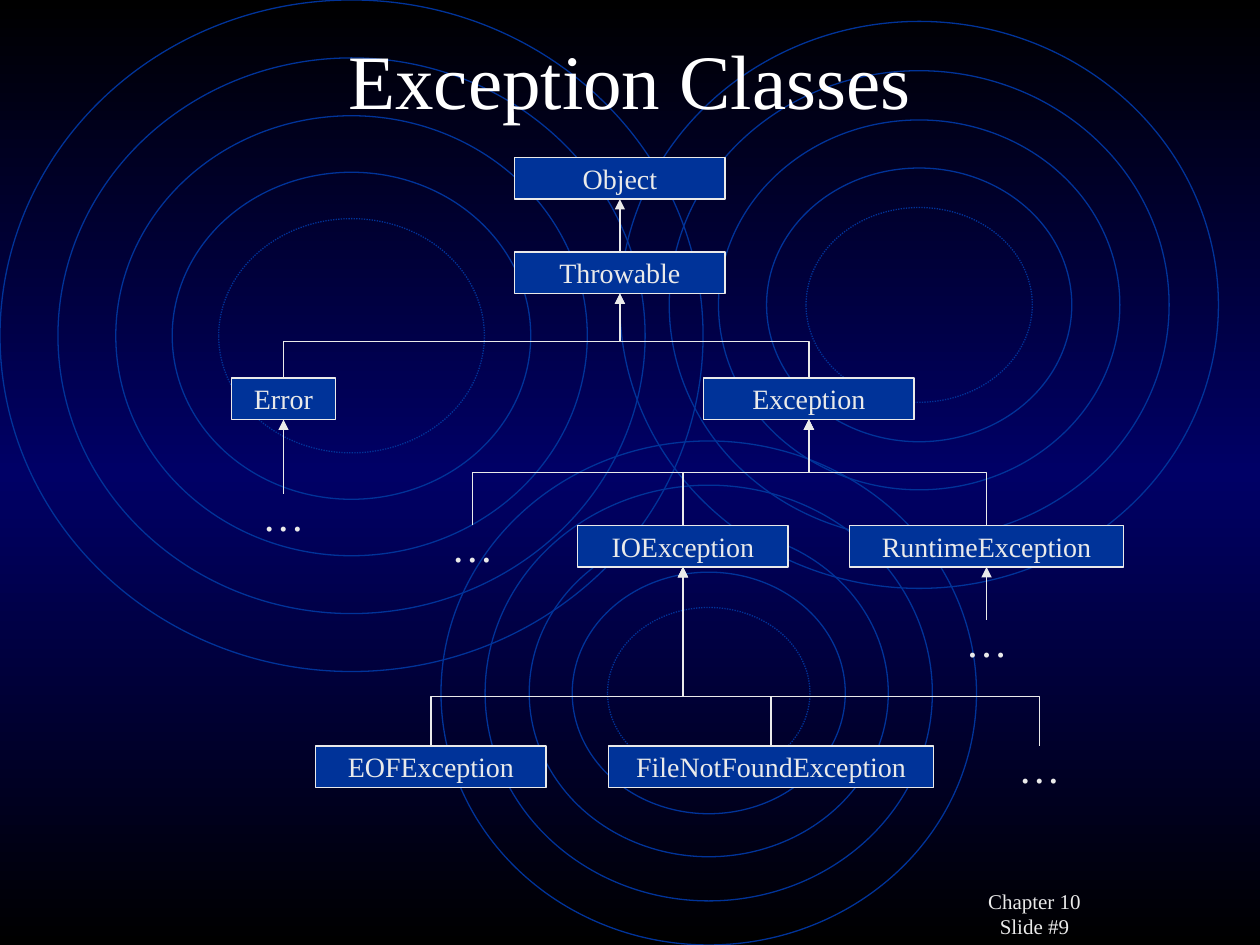
from dataclasses import dataclass

from lxml import etree
from pptx import Presentation
from pptx.dml.color import RGBColor
from pptx.enum.dml import MSO_LINE
from pptx.enum.shapes import MSO_CONNECTOR, MSO_SHAPE
from pptx.enum.text import MSO_ANCHOR, PP_ALIGN
from pptx.oxml import parse_xml
from pptx.oxml.ns import nsdecls, qn
from pptx.util import Inches, Pt

OVAL, RECT = MSO_SHAPE.OVAL, MSO_SHAPE.RECTANGLE
STRAIGHT, ELBOW = MSO_CONNECTOR.STRAIGHT, MSO_CONNECTOR.ELBOW
DOTTED = MSO_LINE.ROUND_DOT
CENTER = PP_ALIGN.CENTER
TOP, MIDDLE = MSO_ANCHOR.TOP, MSO_ANCHOR.MIDDLE


@dataclass(frozen=True)
class Theme:
    font: str = "Times New Roman"
    edge: str = "000000"
    glow: str = "000066"
    blue: str = "003399"
    light: str = "EAEAEA"
    white: str = "FFFFFF"
    title: int = 44
    dots: int = 24
    node: int = 16
    footer: int = 12
    line: float = 0.75


THEME = Theme()

# Ring insets as a share of the outermost ring's width
RING_INSETS = (0, 0.0824, 0.1647, 0.245, 0.311)
RING_BOXES = ((0, 0, 5.58, 5.33), (3.5, 3.5, 4.25, 4), (4.92, 0.17, 4.75, 4.5))

# Class tree: key -> (label, centre x, top, width), relative to the tree box
NODE_H = 0.33
NODES = {
    "object": ("Object", 3.09, 0, 1.67),
    "throwable": ("Throwable", 3.09, 0.75, 1.67),
    "exception": ("Exception", 4.59, 1.75, 1.67),
    "error": ("Error", 0.42, 1.75, 0.83),
    "runtime": ("RuntimeException", 6, 2.92, 2.17),
    "io": ("IOException", 3.59, 2.92, 1.67),
    "file": ("FileNotFoundException", 4.29, 4.67, 2.58),
    "eof": ("EOFException", 1.59, 4.67, 1.83),
    "more errors": ("…", 0.42, 2.67, 0.67),
    "more runtime": ("…", 6, 3.67, 0.67),
    "more io": ("…", 6.42, 4.67, 0.67),
    "more exceptions": ("…", 1.92, 2.92, 0.67),
}

# Parent -> (height of the shared bar above the children, children)
LINKS = {
    "object": (0, ("throwable",)),
    "throwable": (0.29, ("error", "exception")),
    "error": (0, ("more errors",)),
    "runtime": (0, ("more runtime",)),
    "io": (0.39, ("more io", "file", "eof")),
    "exception": (0.42, ("more exceptions", "io", "runtime")),
}


def rgb(color):
    return RGBColor.from_string(color)


def inches(*values):
    return [Inches(v) for v in values]


def write(sp, text, size, color, anchor=MIDDLE, wrap=True):
    tf = sp.text_frame
    tf.text = text
    tf.word_wrap = wrap
    tf.vertical_anchor = anchor
    for p in tf.paragraphs:
        p.alignment = CENTER
        for r in p.runs:
            r.font.name = THEME.font
            r.font.size = Pt(size)
            r.font.color.rgb = rgb(color)


def add_label(slide, box, text, size, color, anchor=MIDDLE, wrap=True):
    sp = slide.shapes.add_textbox(*inches(*box))
    write(sp, text, size, color, anchor, wrap)


def set_background(slide):
    stops = ((0, THEME.edge), (50, THEME.glow), (100, THEME.edge))
    gs = "".join(
        f'<a:gs pos="{pos * 1000}"><a:srgbClr val="{color}"/></a:gs>'
        for pos, color in stops
    )
    bg = parse_xml(
        f'<p:bg {nsdecls("p", "a")}><p:bgPr><a:gradFill rotWithShape="0">'
        f'<a:gsLst>{gs}</a:gsLst><a:lin ang="5400000" scaled="1"/></a:gradFill>'
        "<a:effectLst/></p:bgPr></p:bg>"
    )
    slide.element.cSld.insert(0, bg)


def add_rings(slide, box):
    left, top, width, height = box
    for share in RING_INSETS:
        d = share * width
        ring = (left + d, top + d, width - 2 * d, height - 2 * d)
        sp = slide.shapes.add_shape(OVAL, *inches(*ring))
        sp.shadow.inherit = False
        sp.fill.background()
        sp.line.color.rgb = rgb(THEME.blue)
        sp.line.width = Pt(THEME.line)
        if share == RING_INSETS[-1]:
            sp.line.dash_style = DOTTED


def add_node(slide, box, label):
    sp = slide.shapes.add_shape(RECT, *inches(*box))
    sp.shadow.inherit = False
    sp.fill.solid()
    sp.fill.fore_color.rgb = rgb(THEME.blue)
    sp.line.color.rgb = rgb(THEME.light)
    sp.line.width = Pt(THEME.line)
    write(sp, label, THEME.node, THEME.light, wrap=False)


def add_arrow(slide, x1, y1, x2, y2, bar):
    """Arrow up from a child (x1, y1) to its parent (x2, y2)."""
    kind = STRAIGHT if x1 == x2 else ELBOW
    cxn = slide.shapes.add_connector(kind, *inches(x1, y1, x2, y2))
    cxn.line.color.rgb = rgb(THEME.light)
    cxn.line.width = Pt(THEME.line)
    sp_pr = cxn._element.spPr
    etree.SubElement(sp_pr.find(qn("a:ln")), qn("a:tailEnd"), type="triangle")
    etree.SubElement(sp_pr, qn("a:effectLst"))
    if kind == STRAIGHT:
        return
    # Turn the elbow so that it leaves and arrives vertically
    rise, run = y1 - y2, abs(x2 - x1)
    cxn.left, cxn.top, cxn.width, cxn.height = inches(
        (x1 + x2 - rise) / 2, (y1 + y2 - run) / 2, rise, run
    )
    from_left = x1 < x2
    xfrm = sp_pr.find(qn("a:xfrm"))
    xfrm.set("rot", "5400000" if from_left else "16200000")
    xfrm.set("flipH", "1" if from_left else "0")
    xfrm.set("flipV", "1")
    geom = sp_pr.find(qn("a:prstGeom"))
    guides = geom.get_or_add_avLst()
    etree.SubElement(guides, qn("a:gd"), name="adj1",
                     fmla=f"val {round(bar / rise * 100000)}")


def add_class_tree(slide, box):
    left, top = box[:2]
    for label, cx, y, width in NODES.values():
        node = (left + cx - width / 2, top + y, width, NODE_H)
        if label == "…":
            add_label(slide, node, label, THEME.dots, THEME.light, wrap=False)
        else:
            add_node(slide, node, label)
    for parent, (bar, children) in LINKS.items():
        _, px, py, _ = NODES[parent]
        for child in children:
            _, cx, cy, _ = NODES[child]
            add_arrow(slide, left + cx, top + cy,
                      left + px, top + py + NODE_H, bar)


def main():
    prs = Presentation()
    prs.slide_width, prs.slide_height = inches(10, 7.5)
    slide = prs.slides.add_slide(prs.slide_layouts[6])

    # Backdrop
    set_background(slide)
    for box in RING_BOXES:
        add_rings(slide, box)

    # Footer and title
    add_label(slide, (7.17, 7, 2.08, 0.5), "Chapter 10\vSlide #9",
              THEME.footer, THEME.light, anchor=TOP)
    add_label(slide, (0.75, 0, 8.5, 1.25), "Exception Classes",
              THEME.title, THEME.white)

    # Class hierarchy
    add_class_tree(slide, (1.83, 1.25, 7.09, 5))
    prs.save("out.pptx")


if __name__ == "__main__":
    main()
